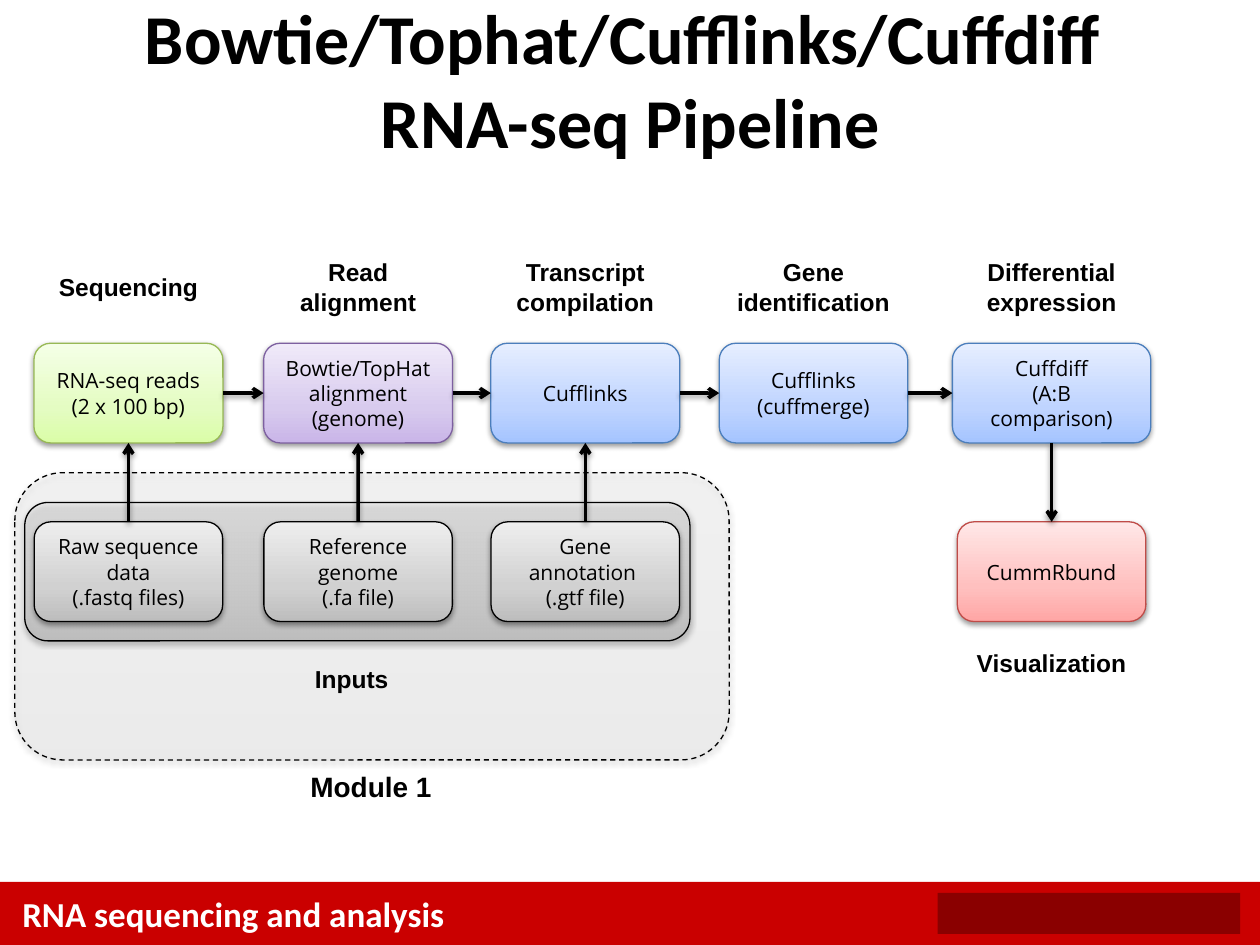
from pptx import Presentation
from pptx.dml.color import RGBColor
from pptx.enum.dml import MSO_LINE
from pptx.enum.shapes import MSO_CONNECTOR, MSO_SHAPE
from pptx.enum.text import MSO_ANCHOR, MSO_AUTO_SIZE, PP_ALIGN
from pptx.oxml import parse_xml
from pptx.oxml.ns import qn
from pptx.util import Cm, Pt

COLORS = {"black": "000000", "white": "FFFFFF", "footer": "CA0000", "badge": "8A0000"}
# Line colour, then gradient colours from bottom to top
STYLES = {
    "green": ("98B955", "DAFDA7", "E4FCC2", "F5FFE7"),
    "purple": ("7D60A0", "C9B5E8", "D8CBEE", "F0EAF9"),
    "blue": ("4B7EBC", "A4C4FF", "BFD4FF", "E6EEFF"),
    "red": ("BF4C48", "FFA6A5", "FFC0BF", "FFE7E7"),
    "gray": ("000000", "BDBDBD", "D1D1D1", "EEEEEE"),
}
XMLNS = 'xmlns:a="http://schemas.openxmlformats.org/drawingml/2006/main"'
SHADOW = (f'<a:effectLst {XMLNS}><a:outerShdw blurRad="40000" dist="20000" dir="5400000" '
          'rotWithShape="0"><a:srgbClr val="000000"><a:alpha val="38000"/></a:srgbClr>'
          '</a:outerShdw></a:effectLst>')
TOP, BOTTOM, LEFT, RIGHT = 0, 2, 1, 3

prs = Presentation()
prs.slide_width, prs.slide_height = Cm(25.4), Cm(19.05)
slide = prs.slides.add_slide(prs.slide_layouts[5])
shapes = slide.shapes


def write_text(frame, lines, align=PP_ALIGN.CENTER, color="black", **font_format):
    """Write one paragraph a line, all in the same font."""
    frame.word_wrap = True
    frame.auto_size = MSO_AUTO_SIZE.NONE
    frame.vertical_anchor = MSO_ANCHOR.MIDDLE
    for i, line in enumerate(lines):
        paragraph = frame.add_paragraph() if i else frame.paragraphs[0]
        paragraph.text = line
        paragraph.alignment = align
        for run in paragraph.runs:
            for key, value in font_format.items():
                setattr(run.font, key, value)
            run.font.color.rgb = RGBColor.from_string(COLORS[color])


def add_box(left, top, width, height, style, lines=(), opacity=100):
    """Add a rounded box with a vertical gradient and a soft shadow."""
    box = shapes.add_shape(MSO_SHAPE.ROUNDED_RECTANGLE,
                           Cm(left), Cm(top), Cm(width), Cm(height))
    outline, *gradient = STYLES[style]
    stops = "".join(
        f'<a:gs pos="{position}000"><a:srgbClr val="{color}">'
        f'<a:alpha val="{opacity}000"/></a:srgbClr></a:gs>'
        for position, color in zip((0, 35, 100), gradient))
    properties = box.element.spPr
    properties.insert(2, parse_xml(f'<a:gradFill {XMLNS} rotWithShape="1"><a:gsLst>{stops}'
                                   '</a:gsLst><a:lin ang="16200000" scaled="0"/></a:gradFill>'))
    box.line.color.rgb = RGBColor.from_string(outline)
    box.line.width = Pt(0.75)
    properties.append(parse_xml(SHADOW))
    write_text(box.text_frame, lines, name="Open Sans", size=Pt(12))
    return box


# Title
title = shapes.title
for side, value in {"left": 0.43, "top": 0, "width": 24.56, "height": 3.18}.items():
    setattr(title, side, Cm(value))
write_text(title.text_frame, ["Bowtie/Tophat/Cufflinks/Cuffdiff \vRNA-seq Pipeline"],
           name="Calibri", size=Pt(40), bold=True)
for line_break in title.element.iter(qn("a:br")):
    line_break.append(parse_xml(f'<a:rPr {XMLNS} sz="4000" b="1"/>'))

# Footer band with a plain badge at its right end
for left, top, width, height, color in [
    (0, 17.78, 25.4, 1.27, "footer"),
    (18.9, 18, 6.1, 0.83, "badge"),
]:
    band = shapes.add_shape(MSO_SHAPE.RECTANGLE, Cm(left), Cm(top), Cm(width), Cm(height))
    band.fill.solid()
    band.fill.fore_color.rgb = RGBColor.from_string(COLORS[color])
    band.line.fill.background()
    band.shadow.inherit = False
course = shapes.add_textbox(Cm(0.2), Cm(17.86), Cm(18.62), Cm(1.1))
write_text(course.text_frame, ["RNA sequencing and analysis"], PP_ALIGN.LEFT,
           "white", name="Calibri", size=Pt(20), bold=True)

# Module and input frames
module = add_box(0.3, 9.53, 14.4, 5.79, "gray", opacity=13)
module.line.dash_style = MSO_LINE.DASH
add_box(0.5, 10.13, 13.41, 2.79, "gray", opacity=51)

# Pipeline steps and files: centre, width, style, lines
STEP_TOP, FILE_TOP, BOX_HEIGHT = 6.92, 10.52, 2.01
steps = [
    add_box(center - width / 2, STEP_TOP, width, BOX_HEIGHT, style, lines)
    for center, width, style, lines in [
        (2.59, 3.81, "green", ["RNA-seq reads (2 x 100 bp)"]),
        (7.22, 3.81, "purple", ["Bowtie/TopHat alignment (genome)"]),
        (11.8, 3.81, "blue", ["Cufflinks"]),
        (16.4, 3.8, "blue", ["Cufflinks (cuffmerge)"]),
        (21.2, 4, "blue", ["Cuffdiff", "(A:B comparison)"]),
    ]
]
*inputs, visualization = [
    add_box(center - 1.9, FILE_TOP, 3.8, BOX_HEIGHT, style, lines)
    for center, style, lines in [
        (2.59, "gray", ["Raw sequence data", "(.fastq files)"]),
        (7.22, "gray", ["Reference genome", "(.fa file)"]),
        (11.8, "gray", ["Gene annotation ", "(.gtf file)"]),
        (21.2, "red", ["CummRbund"]),
    ]
]

# Arrows
links = [(start, RIGHT, end, LEFT) for start, end in zip(steps, steps[1:])]
links += [(source, TOP, step, BOTTOM) for source, step in zip(inputs, steps)]
links.append((steps[-1], BOTTOM, visualization, TOP))
for start, start_side, end, end_side in links:
    arrow = shapes.add_connector(MSO_CONNECTOR.STRAIGHT, 0, 0, 0, 0)
    arrow.begin_connect(start, start_side)
    arrow.end_connect(end, end_side)
    arrow.line.color.rgb = RGBColor.from_string(COLORS["black"])
    arrow.line.width = Pt(2)
    properties = arrow.element.spPr
    properties.find(qn("a:ln")).append(parse_xml(f'<a:tailEnd {XMLNS} type="arrow"/>'))
    properties.append(parse_xml(SHADOW))

# Labels: text, centre, middle, width, height, size
for text, center, middle, width, height, size in [
    ("Sequencing", 2.59, 5.78, 3.4, 0.86, 14),
    ("Read alignment", 7.22, 5.78, 3.45, 1.45, 14),
    ("Transcript compilation", 11.8, 5.78, 4.6, 1.45, 14),
    ("Gene identification", 16.4, 5.78, 4.6, 1.45, 14),
    ("Differential expression", 21.2, 5.78, 4.6, 1.45, 14),
    ("Visualization", 21.2, 13.35, 4.6, 0.86, 14),
    ("Inputs", 7.09, 13.69, 2.1, 0.86, 14),
    ("Module 1", 7.48, 15.86, 3.1, 0.94, 16),
]:
    label = shapes.add_textbox(Cm(center - width / 2), Cm(middle - height / 2),
                               Cm(width), Cm(height))
    write_text(label.text_frame, [text], name="Arial", size=Pt(size), bold=True)

prs.save("out.pptx")
